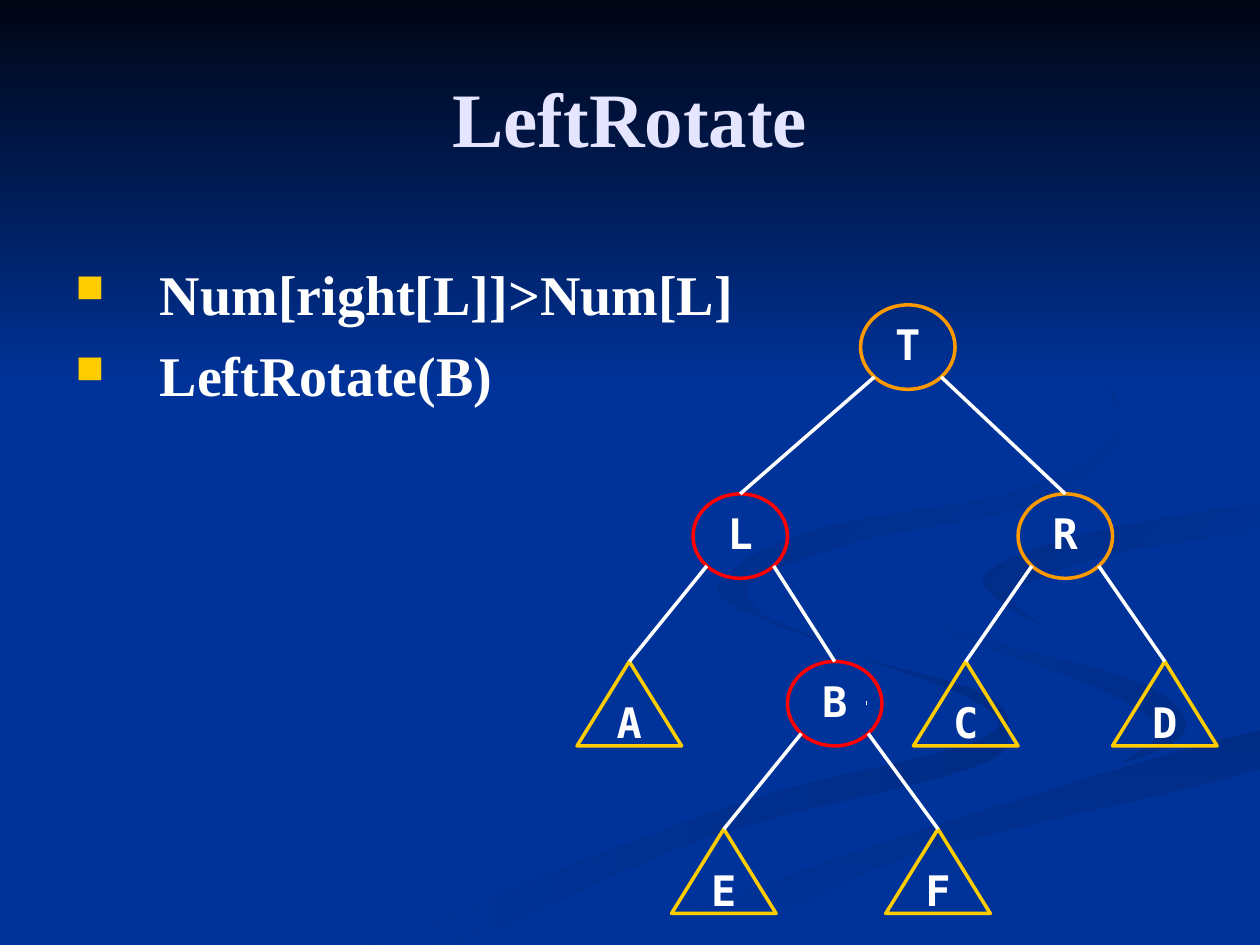
import math

from lxml import etree
from pptx import Presentation
from pptx.dml.color import RGBColor
from pptx.enum import shapes, text
from pptx.oxml import ns
from pptx.util import Inches, Pt

BLUE = RGBColor(0x00, 0x33, 0x99)
DEEP = RGBColor(0x00, 0x2C, 0x85)
NIGHT = RGBColor(0x00, 0x05, 0x14)
LILAC = RGBColor(0xE5, 0xE5, 0xFF)
WHITE = RGBColor(0xFF, 0xFF, 0xFF)
GOLD = RGBColor(0xFF, 0xCC, 0x00)
AMBER = RGBColor(0xFF, 0x99, 0x00)
RED = RGBColor(0xFF, 0x00, 0x00)
SERIF, MONO = "Times New Roman", "DejaVu Sans Mono"

TITLE = "LeftRotate"
BULLETS = ["Num[right[L]]>Num[L]", "LeftRotate(B)"]

# Tree: name, left, top, line colour; inner nodes are ellipses, leaves triangles
INNER = [("T", 6.83, 2.42, AMBER), ("L", 5.5, 3.92, RED),
         ("R", 8.08, 3.92, AMBER), ("B", 6.25, 5.25, RED)]
LEAVES = [("A", 4.58, 5.25, GOLD), ("D", 8.83, 5.25, GOLD), ("C", 7.25, 5.25, GOLD),
          ("E", 5.33, 6.58, GOLD), ("F", 7.03, 6.58, GOLD)]
KIDS = {"T": "LR", "L": "AB", "R": "CD", "B": "EF"}
INNER_W, LEAF_W, NODE_H = 0.75, 0.83, 0.67

# Background ribbons: start colour, end colour, angle, knots of the outline
RIBBONS = [
    (DEEP, BLUE, 180, [
        (7.8, 5.5), (6.8, 5.2), (5.9, 4.8), (5.75, 4.6), (5.8, 4.8), (6.8, 5.2),
        (7.8, 5.6), (7.7, 5.9), (5.8, 6.4), (3, 7.5), (3.6, 7.5), (5.6, 6.65),
        (7.7, 6.1), (8, 5.8)]),
    (DEEP, BLUE, 135, [
        (9.4, 5.7), (9, 5.4), (7.6, 5), (7.24, 4.64), (7.5, 5), (8.7, 5.45),
        (9.2, 5.8), (8.9, 6.05), (9.3, 5.9)]),
    (DEEP, BLUE, 270, [
        (5, 7.5), (5.7, 7.5), (7.2, 6.8), (10, 6.1), (10, 5.8), (7.6, 6.5), (6, 7.05)]),
    (BLUE, DEEP, 135, [
        (7.8, 4.6), (8.25, 4.95), (8.05, 4.7), (8.8, 4.4), (10, 4.2), (10, 4),
        (8.5, 4.27)]),
    (BLUE, DEEP, 135, [
        (6.8, 4.3), (8.2, 4), (8.9, 3.45), (8.5, 2.8), (7.6, 2.33), (8.5, 2.8),
        (8.9, 3.35), (8.2, 3.86), (6.5, 4.2), (5.77, 4.6), (6.2, 5), (5.94, 4.65)]),
]
STEPS = 6

prs = Presentation()
prs.slide_width, prs.slide_height = Inches(10), Inches(7.5)
slide = prs.slides.add_slide(prs.slide_layouts[5])
back = slide.background.fill
back.solid()
back.fore_color.rgb = BLUE
pool = slide.shapes


def curve(knots):
    """Closed Catmull-Rom curve through the knots, kept on the slide."""
    dots = []
    for i, p1 in enumerate(knots):
        p0, p2, p3 = (knots[(i + k) % len(knots)] for k in (-1, 1, 2))
        for step in range(STEPS):
            t = step / STEPS
            x, y = (b + t / 2 * (c - a + t * (2 * a - 5 * b + 4 * c - d
                                             + t * (3 * b - a - 3 * c + d)))
                    for a, b, c, d in zip(p0, p1, p2, p3))
            dots.append((Inches(min(x, 10)), Inches(min(y, 7.5))))
    return dots


def shade(shape, start, end, angle):
    shape.shadow.inherit = False
    shape.line.fill.background()
    shape.fill.gradient()
    shape.fill.gradient_angle = angle
    for stop, tone in zip(shape.fill.gradient_stops, (start, end)):
        stop.color.rgb = tone


def style(par, size, face, tone):
    font = par.font
    font.size, font.name, font.bold = Pt(size), face, True
    font.color.rgb = tone


def add_node(kind, name, left, top, width, tone):
    node = pool.add_shape(kind, Inches(left), Inches(top), Inches(width), Inches(NODE_H))
    node.shadow.inherit = False
    node.fill.background()
    node.line.color.rgb = tone
    node.line.width = Pt(2)
    frame = node.text_frame
    frame.word_wrap = False
    frame.vertical_anchor = text.MSO_ANCHOR.MIDDLE
    par = frame.paragraphs[0]
    par.text, par.alignment, par.line_spacing = name, text.PP_ALIGN.CENTER, 0.9
    style(par, 24, MONO, WHITE)


def add_line(x1, y1, x2, y2):
    line = pool.add_connector(shapes.MSO_CONNECTOR.STRAIGHT,
                              Inches(x1), Inches(y1), Inches(x2), Inches(y2))
    line.line.color.rgb = WHITE
    line.line.width = Pt(2)
    etree.SubElement(line._element.spPr, ns.qn("a:effectLst"))


# Background ribbons and dark band
for start, end, angle, knots in RIBBONS:
    dots = curve(knots)
    pen = pool.build_freeform(*dots[0])
    pen.add_line_segments(dots[1:], close=True)
    shade(pen.convert_to_shape(), start, end, angle)
band = pool.add_shape(shapes.MSO_SHAPE.RECTANGLE, 0, 0, Inches(10), Inches(3.08))
shade(band, NIGHT, BLUE, 270)

# Title, brought in front of the band
title = pool.title
band._element.addnext(title._element)
title.left, title.top, title.width, title.height = map(Inches, (0.5, 0.3, 9, 1.25))
title.text_frame.text = TITLE
title.text_frame.vertical_anchor = text.MSO_ANCHOR.MIDDLE
head = title.text_frame.paragraphs[0]
head.alignment = text.PP_ALIGN.CENTER
style(head, 44, SERIF, LILAC)

# Bullets
frame = pool.add_textbox(Inches(0.5), Inches(2.01), Inches(9), Inches(4.82)).text_frame
frame.word_wrap = True
for i, line in enumerate(BULLETS):
    par = frame.add_paragraph() if i else frame.paragraphs[0]
    par.text = line
    par.space_before = Pt(8 if i else 0)
    props = par._p.get_or_add_pPr()
    props.set("marL", str(Inches(0.67)))
    props.set("indent", str(-Inches(0.67)))
    paint = etree.SubElement(props, ns.qn("a:buClr"))
    etree.SubElement(paint, ns.qn("a:srgbClr"), val=str(GOLD))
    etree.SubElement(props, ns.qn("a:buSzPct"), val="70000")
    etree.SubElement(props, ns.qn("a:buChar"), char="■")
    style(par, 32, SERIF, WHITE)

# Tree nodes
tops = {}
for kind, width, nodes in ((shapes.MSO_SHAPE.OVAL, INNER_W, INNER),
                           (shapes.MSO_SHAPE.ISOSCELES_TRIANGLE, LEAF_W, LEAVES)):
    for name, left, top, tone in nodes:
        add_node(kind, name, left, top, width, tone)
        tops[name] = (left + width / 2, top)

# Edges run from the lower diagonals of an ellipse to the top of each child
diag = math.sqrt(0.5)
for name, kids in KIDS.items():
    x, y = tops[name]
    for side, kid in zip((-1, 1), kids):
        add_line(x + side * diag * INNER_W / 2, y + (1 + diag) * NODE_H / 2, *tops[kid])

# Small tick inside B
add_line(6.87, 5.58, 6.88, 5.58)

prs.save("out.pptx")
